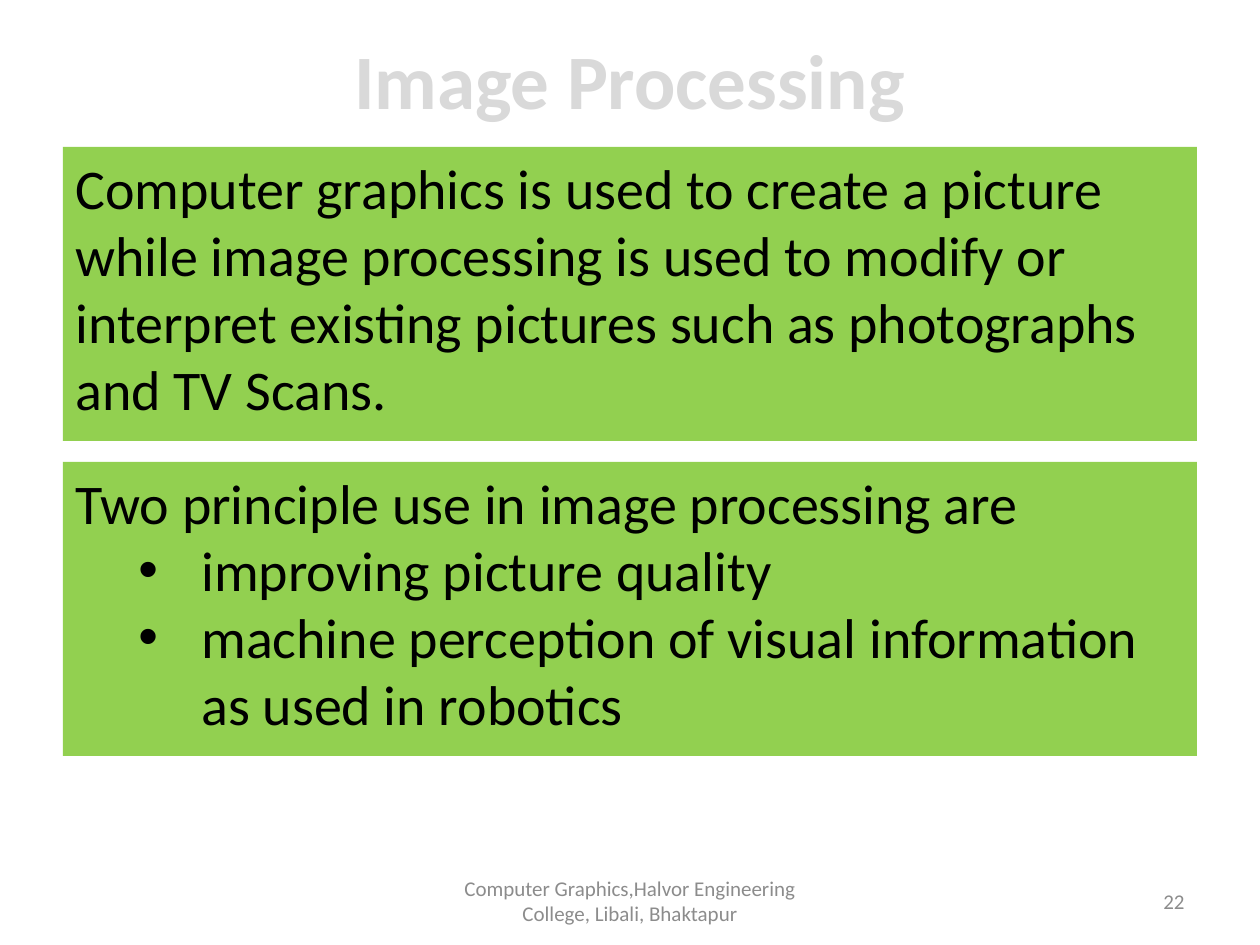
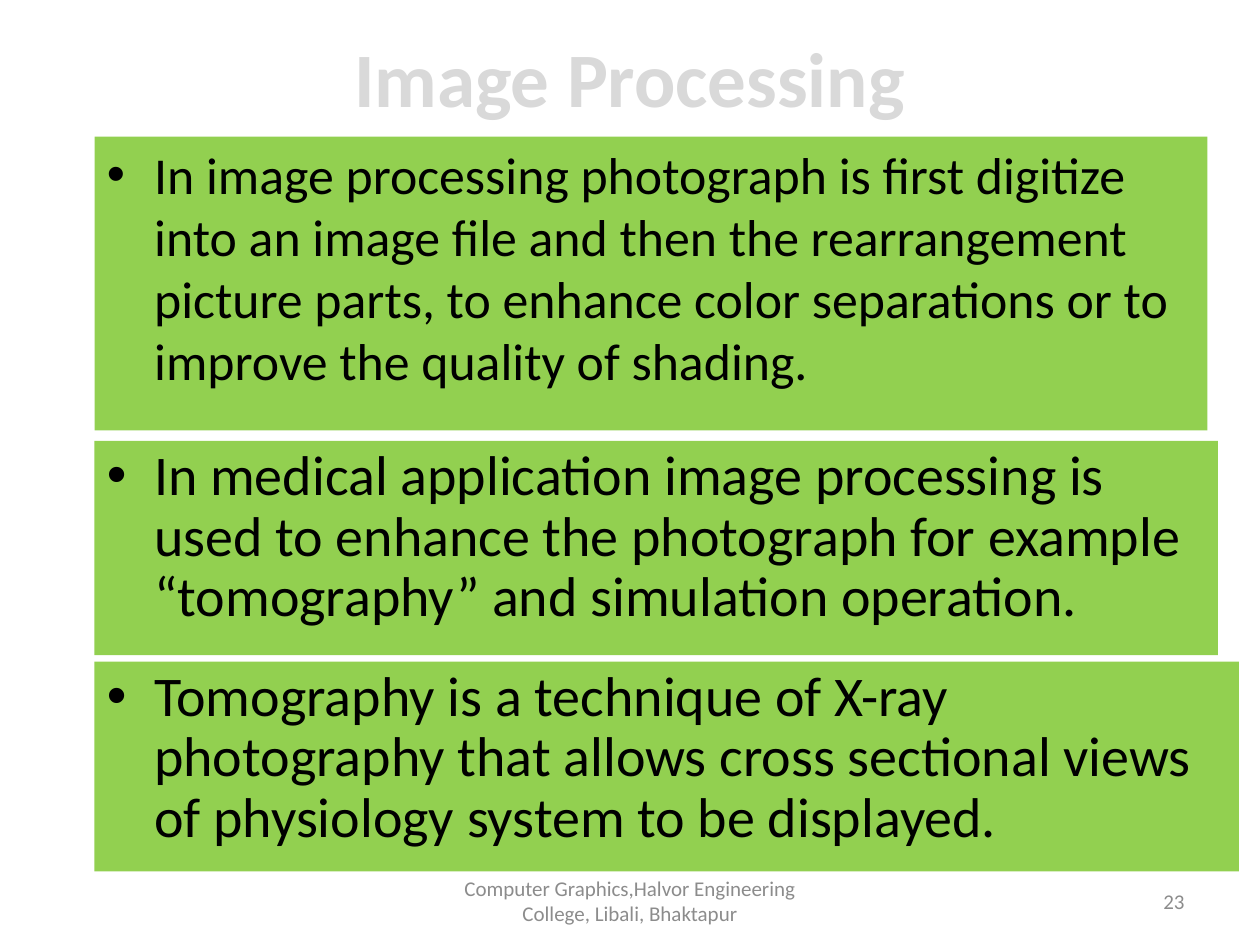
"""Build two slides on image processing."""
from dataclasses import dataclass

from lxml import etree
from pptx import Presentation
from pptx import util as u
from pptx.dml import color
from pptx.enum import shapes, text
from pptx.oxml import ns

Pt = u.Pt


@dataclass(frozen=True)
class Theme:
    """Hold the colours, font and type sizes."""
    font: str = "Calibri"
    panel: str = "92D050"
    ink: str = "000000"
    heading: str = "D9D9D9"
    muted: str = "8C8C8C"
    title_size: float = 44
    body_size: float = 32
    compact_size: float = 29.6
    footer_size: float = 12


def write(paragraph, words, *, font, size, ink, bold=False,
          align=text.PP_ALIGN.LEFT, spacing=1.0, indent=None):
    """Write one formatted paragraph, bulleted when indent (left, hanging) is given."""
    run = paragraph.add_run()
    run.text = words
    run.font.name = font
    run.font.size = Pt(size)
    run.font.bold = bold
    run.font.color.rgb = color.RGBColor.from_string(ink)
    paragraph.alignment = align
    paragraph.line_spacing = spacing
    paragraph.space_before = Pt(0)
    if indent:
        left, hanging = indent
        properties = paragraph._p.get_or_add_pPr()
        properties.set("marL", str(Pt(left)))
        properties.set("indent", str(-Pt(hanging)))
        etree.SubElement(properties, ns.qn("a:buFont")).set("typeface", "Arial")
        etree.SubElement(properties, ns.qn("a:buChar")).set("char", "•")


class Deck:
    """Hold the style and the current slide."""

    footer = "Computer Graphics,Halvor Engineering College, Libali, Bhaktapur"
    point = (27, 27)
    nested = (72, 36)

    def __init__(self, theme):
        """Start a 4:3 presentation."""
        self.theme = theme
        self.presentation = Presentation()
        self.presentation.slide_width = Pt(720)
        self.presentation.slide_height = Pt(540)
        self.slide = None

    def add_slide(self, title, number, title_height):
        """Add a slide with its title, footer and number."""
        layout = self.presentation.slide_layouts.get_by_name("Title Only")
        self.slide = self.presentation.slides.add_slide(layout)
        self.title(title, title_height)
        self.footer_text(self.footer, 246, 228, text.PP_ALIGN.CENTER)
        self.footer_text(str(number), 516, 168, text.PP_ALIGN.RIGHT)

    def title(self, words, height):
        """Place and format the title placeholder."""
        shape = self.slide.shapes.title
        shape.left, shape.top, shape.width, shape.height = map(Pt, (36, 6, 648, height))
        shape.text_frame.vertical_anchor = text.MSO_ANCHOR.MIDDLE
        write(shape.text_frame.paragraphs[0], words, font=self.theme.font,
              size=self.theme.title_size, ink=self.theme.heading, bold=True,
              align=text.PP_ALIGN.CENTER)

    def footer_text(self, words, left, width, align):
        """Add a small text in the footer row."""
        shape = self.slide.shapes.add_textbox(*map(Pt, (left, 500.4, width, 28.8)))
        frame = shape.text_frame
        frame.word_wrap = True
        frame.vertical_anchor = text.MSO_ANCHOR.MIDDLE
        write(frame.paragraphs[0], words, font=self.theme.font,
              size=self.theme.footer_size, ink=self.theme.muted, align=align)

    def panel(self, box, *lines, size=None, spacing=1.0):
        """Add a green panel of (words, indent) lines."""
        shape = self.slide.shapes.add_shape(shapes.MSO_SHAPE.RECTANGLE, *map(Pt, box))
        shape.shadow.inherit = False
        shape.fill.solid()
        shape.fill.fore_color.rgb = color.RGBColor.from_string(self.theme.panel)
        shape.line.fill.background()
        frame = shape.text_frame
        frame.word_wrap = True
        frame.vertical_anchor = text.MSO_ANCHOR.TOP
        for index, (words, indent) in enumerate(lines):
            paragraph = frame.add_paragraph() if index else frame.paragraphs[0]
            write(paragraph, words, font=self.theme.font, ink=self.theme.ink,
                  size=size or self.theme.body_size, spacing=spacing, indent=indent)


def main():
    """Build and save the slides."""
    deck = Deck(Theme())

    deck.add_slide("Image Processing", 22, 78)
    deck.panel(
        (36, 84, 648, 168),
        ("Computer graphics is used to create a picture while image processing is used "
         "to modify or interpret existing pictures such as photographs and TV Scans.", None))
    deck.panel(
        (36, 264, 648, 168),
        ("Two principle use in image processing are", None),
        ("improving picture quality", deck.nested),
        ("machine perception of visual information as used in robotics", deck.nested))

    deck.add_slide("Image Processing", 23, 75.6)
    deck.panel(
        (54, 78, 636, 168),
        ("In image processing photograph is first digitize into an image file and then "
         "the rearrangement picture parts, to enhance color separations or to improve "
         "the quality of shading.", deck.point),
        size=deck.theme.compact_size)
    deck.panel(
        (54, 252, 642, 122.4),
        ("In medical application image processing is used to enhance the photograph for "
         "example “tomography” and simulation operation.", deck.point),
        spacing=0.9)
    deck.panel(
        (54, 378, 654, 120),
        ("Tomography is a technique of X-ray photography that allows cross sectional "
         "views of physiology system to be displayed.", deck.point),
        spacing=0.9)

    deck.presentation.save("out.pptx")


if __name__ == "__main__":
    main()
